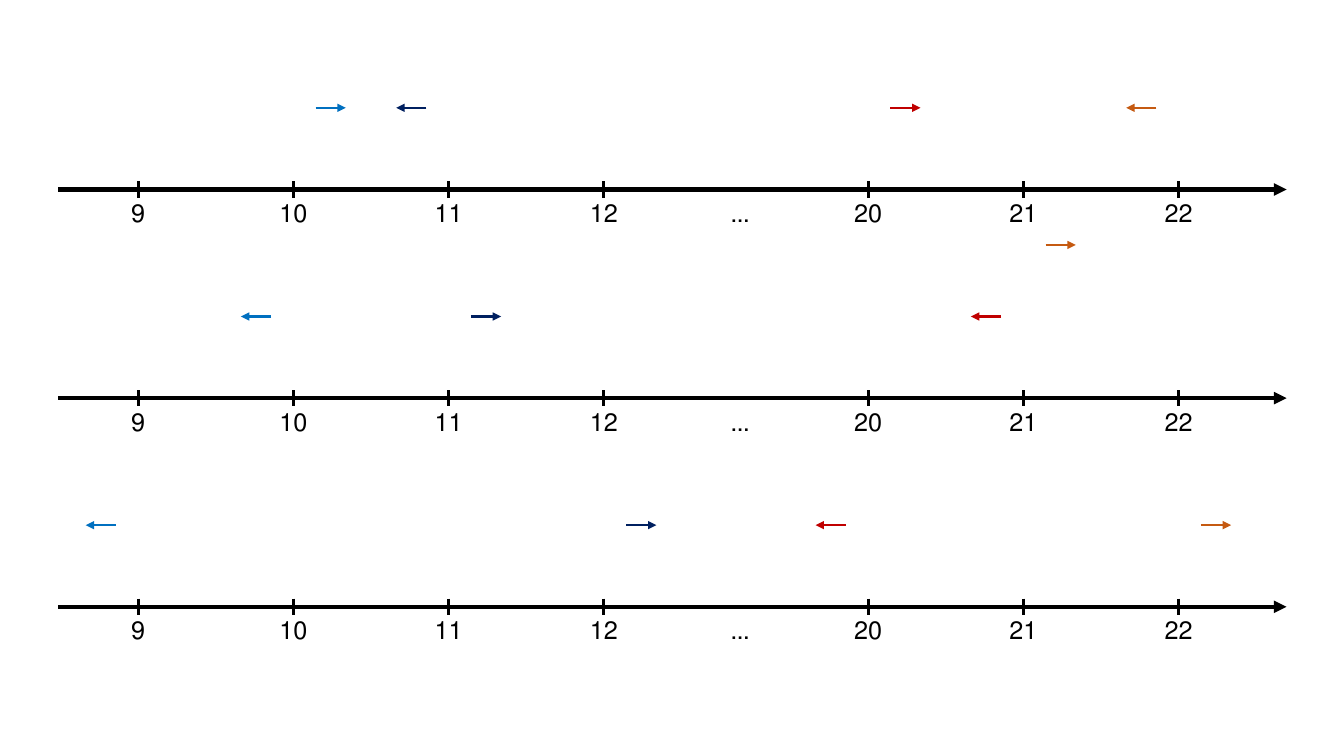
from lxml.etree import SubElement
from pptx import Presentation
from pptx.dml.color import RGBColor
from pptx.enum.shapes import MSO_CONNECTOR
from pptx.enum.text import MSO_AUTO_SIZE, PP_ALIGN
from pptx.oxml.ns import qn
from pptx.util import Inches, Pt

BLACK = RGBColor(0x00, 0x00, 0x00)
BLUE = RGBColor(0x00, 0x70, 0xC0)
NAVY = RGBColor(0x00, 0x20, 0x60)
RED = RGBColor(0xC0, 0x00, 0x00)
ORANGE = RGBColor(0xC5, 0x5A, 0x11)
FONT = "DejaVu Sans Mono"

AXIS_START, AXIS_END = 0.58, 12.76
FIRST_AXIS, AXIS_PITCH = 1.88, 2.07
TICK_PITCH = 1.54
TICKS = {
    first + i: start + i * TICK_PITCH
    for first, start, count in ((9, 1.37, 4), (20, 8.61, 3))
    for i in range(count)
}
TICK_REACH = 0.08
LABEL_DROP = 0.03
ELLIPSIS_CENTRE = 7.34
ARROW_GAP, ARROW_LENGTH = 0.22, 0.3
ARROW_RISE, HIGH_ARROW_RISE = 0.81, 1.52
RIGHT, LEFT = 1, -1

# Each arrow: colour, number it starts beside, direction, height above axis
NUMBER_LINES = [
    [
        (NAVY, 11, LEFT, ARROW_RISE),
        (BLUE, 10, RIGHT, ARROW_RISE),
        (ORANGE, 22, LEFT, ARROW_RISE),
        (RED, 20, RIGHT, ARROW_RISE),
    ],
    [
        (NAVY, 11, RIGHT, ARROW_RISE),
        (BLUE, 10, LEFT, ARROW_RISE),
        (ORANGE, 21, RIGHT, HIGH_ARROW_RISE),
        (RED, 21, LEFT, ARROW_RISE),
    ],
    [
        (NAVY, 12, RIGHT, ARROW_RISE),
        (BLUE, 9, LEFT, ARROW_RISE),
        (ORANGE, 22, RIGHT, ARROW_RISE),
        (RED, 20, LEFT, ARROW_RISE),
    ],
]


def add_line(slide, start, end, color=BLACK, width=2.25, arrow=False):
    line = slide.shapes.add_connector(
        MSO_CONNECTOR.STRAIGHT, *(Inches(value) for value in (*start, *end))
    )
    line.line.color.rgb = color
    line.line.width = Pt(width)
    if arrow:
        SubElement(line.line._get_or_add_ln(), qn("a:tailEnd"), type="triangle")
    SubElement(line._element.spPr, qn("a:effectLst"))


def add_text(slide, text, centre, top, width=0.59, height=0.4, size=18, color=BLACK):
    box = slide.shapes.add_textbox(
        Inches(centre - width / 2), Inches(top), Inches(width), Inches(height)
    )
    frame = box.text_frame
    frame.word_wrap = True
    frame.auto_size = MSO_AUTO_SIZE.SHAPE_TO_FIT_TEXT
    para = frame.paragraphs[0]
    para.alignment = PP_ALIGN.CENTER
    para._p.get_or_add_pPr().set("rtl", "1")
    span = para.add_run()
    span.text = text
    span.font.name = FONT
    span.font.size = Pt(size)
    span.font.color.rgb = color


def add_number_line(slide, axis):
    add_line(slide, (AXIS_START, axis), (AXIS_END, axis), width=3, arrow=True)
    for number, x in TICKS.items():
        add_line(slide, (x, axis - TICK_REACH), (x, axis + TICK_REACH))
        add_text(slide, str(number), x, axis + LABEL_DROP)
    add_text(slide, "...", ELLIPSIS_CENTRE, axis + LABEL_DROP, width=0.74)


def add_step_arrow(slide, axis, color, number, direction, rise):
    """Draw a short arrow pointing away from a number, above the axis."""
    start = TICKS[number] + direction * ARROW_GAP
    end = start + direction * ARROW_LENGTH
    y = axis - rise
    add_line(slide, (start, y), (end, y), color=color, width=1.5, arrow=True)


def main():
    deck = Presentation()
    deck.slide_width, deck.slide_height = Inches(13.33), Inches(7.5)
    slide = deck.slides.add_slide(deck.slide_layouts[6])
    for row, arrows in enumerate(NUMBER_LINES):
        axis = FIRST_AXIS + row * AXIS_PITCH
        add_number_line(slide, axis)
        for arrow in arrows:
            add_step_arrow(slide, axis, *arrow)
    deck.save("out.pptx")


if __name__ == "__main__":
    main()
